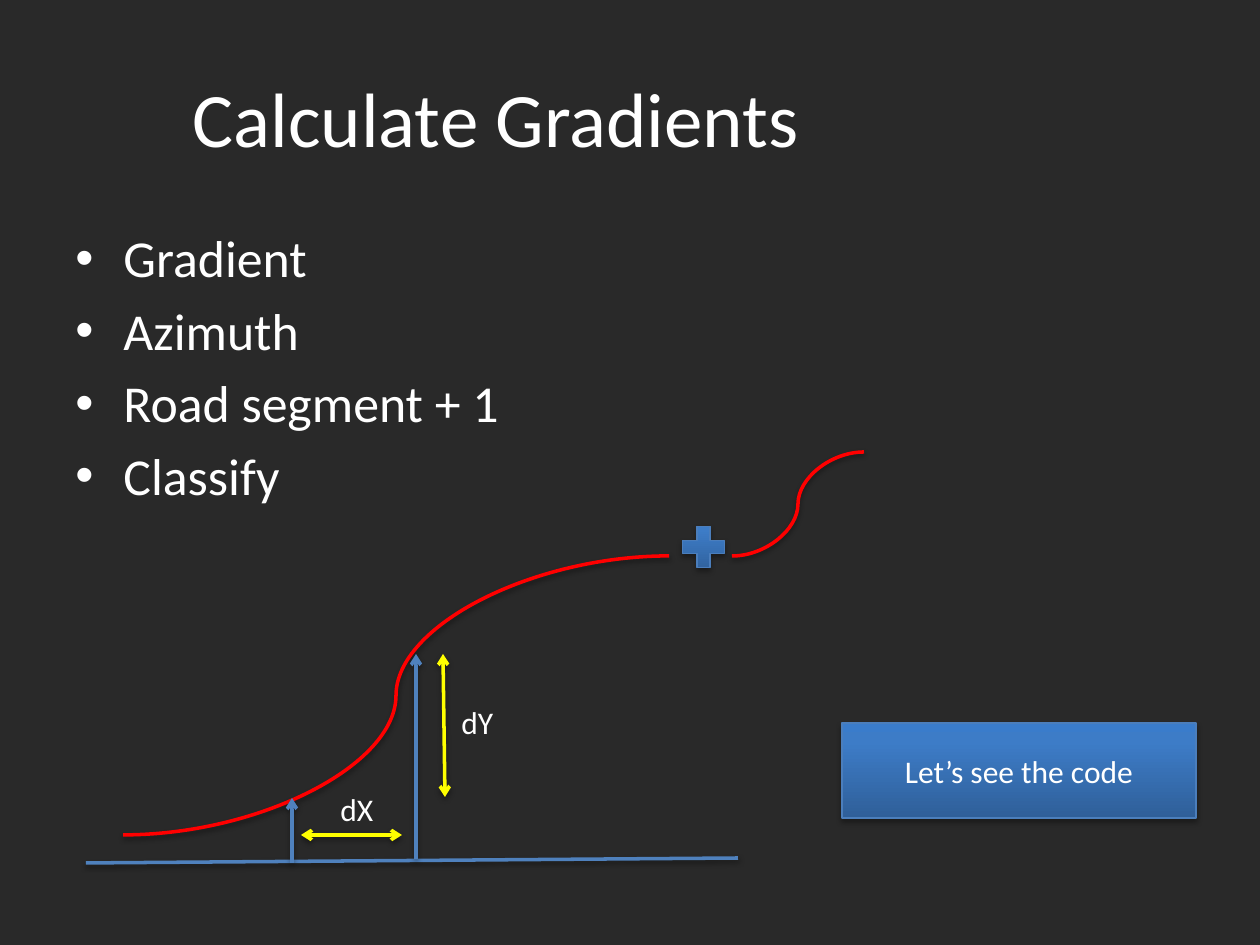
from copy import deepcopy
from pptx import Presentation
from pptx.dml.color import RGBColor
from pptx.enum.shapes import MSO_CONNECTOR as Link, MSO_SHAPE as Preset
from pptx.enum.text import MSO_ANCHOR as Anchor, PP_ALIGN as Align
from pptx.oxml.ns import qn
from pptx.util import Emu, Pt
from lxml.etree import SubElement

BACKGROUND = RGBColor(0x29, 0x29, 0x29)
WHITE = RGBColor(0xFF, 0xFF, 0xFF)
RED = RGBColor(0xFF, 0x00, 0x00)
BLUE = RGBColor(0x4F, 0x81, 0xBD)
YELLOW = RGBColor(0xFF, 0xFF, 0x00)
EDGE = RGBColor(0x4B, 0x7E, 0xBC)
GRADIENT = [
    (0, RGBColor(0x2F, 0x5F, 0x99)),
    (0.8, RGBColor(0x3D, 0x7C, 0xC7)),
    (1, RGBColor(0x3A, 0x7C, 0xCB)),
]
FONT = "Calibri"

TITLE = "Calculate Gradients"
TOPICS = ["Gradient", "Azimuth", "Road segment + 1", "Classify"]
BUTTON = "Let’s see the code"
LABELS = [("dX", (328, 784, 59, 50)), ("dY", (449, 697, 58, 50))]

TAIL = ["tailEnd"]
BOTH = ["headEnd", "tailEnd"]
LINES = [
    (Link.CURVE, (123, 835), (669, 556), RED, []),
    (Link.STRAIGHT, (86, 863), (738, 858), BLUE, []),
    (Link.STRAIGHT, (292, 863), (292, 798), BLUE, TAIL),
    (Link.STRAIGHT, (416, 859), (416, 654), BLUE, TAIL),
    (Link.STRAIGHT, (301, 835), (402, 835), YELLOW, BOTH),
    (Link.STRAIGHT, (445, 797), (443, 654), YELLOW, BOTH),
    (Link.CURVE, (732, 556), (864, 452), RED, []),
]


def px(*values):
    return [Emu(round(value * 914400 / 126)) for value in values]


def add_shadow(item, opacity, distance):
    effects = SubElement(item._element.spPr, qn("a:effectLst"))
    shadow = SubElement(effects, qn("a:outerShdw"), blurRad=str(Pt(3.1)),
                        dist=str(Pt(distance)), dir="5400000", rotWithShape="0")
    color = SubElement(shadow, qn("a:srgbClr"), val="000000")
    SubElement(color, qn("a:alpha"), val=str(opacity * 1000))


def write(frame, lines, size, align=Align.LEFT):
    for index, line in enumerate(lines):
        para = frame.add_paragraph() if index else frame.paragraphs[0]
        para.text = line
        para.alignment = align
        para.font.size = Pt(size)
        para.font.name = FONT
        para.font.color.rgb = WHITE


def add_text(page, bounds, lines, size, align=Align.LEFT, wrap=True):
    frame = page.shapes.add_textbox(*px(*bounds)).text_frame
    frame.word_wrap = wrap
    write(frame, lines, size, align)
    return frame


def add_bullets(frame, size):
    indent = px(48)[0]
    for para in frame.paragraphs:
        para.space_before = Pt(size * 0.2)
        properties = para._p.get_or_add_pPr()
        properties.set("marL", str(indent))
        properties.set("indent", str(-indent))
        SubElement(properties, qn("a:buFont"), typeface="Arial")
        SubElement(properties, qn("a:buChar"), char="•")


def add_block(page, preset, bounds):
    block = page.shapes.add_shape(preset, *px(*bounds))
    block.fill.gradient()
    block.fill.gradient_angle = 90
    stops = next(block._element.spPr.iter(qn("a:gsLst")))
    stops.append(deepcopy(stops[-1]))
    for stop, (position, color) in zip(block.fill.gradient_stops, GRADIENT):
        stop.position = position
        stop.color.rgb = color
    block.line.color.rgb = EDGE
    block.line.width = Pt(0.75)
    add_shadow(block, 35, 1.8)
    return block


def add_line(page, kind, start, end, color, arrows):
    connector = page.shapes.add_connector(kind, *px(*start, *end))
    connector.line.color.rgb = color
    connector.line.width = Pt(2)
    for arrow in arrows:
        SubElement(connector.line._get_or_add_ln(), qn(f"a:{arrow}"), type="arrow")
    add_shadow(connector, 38, 1.6)


def main():
    deck = Presentation()
    deck.slide_width, deck.slide_height = px(1260, 945)
    page = deck.slides.add_slide(deck.slide_layouts[6])
    page.background.fill.solid()
    page.background.fill.fore_color.rgb = BACKGROUND

    title = add_text(page, (63, 38, 866, 157), [TITLE], 44, Align.CENTER)
    title.vertical_anchor = Anchor.MIDDLE
    add_bullets(add_text(page, (63, 220, 624, 266), TOPICS, 29.6), 29.6)

    button = add_block(page, Preset.ACTION_BUTTON_CUSTOM, (842, 723, 354, 95))
    button.text_frame.vertical_anchor = Anchor.MIDDLE
    write(button.text_frame, [BUTTON], 18, Align.CENTER)

    for line in LINES:
        add_line(page, *line)
    for label, bounds in LABELS:
        add_text(page, bounds, [label], 18, wrap=False)
    add_block(page, Preset.MATH_PLUS, (675, 519, 57, 56))

    deck.save("out.pptx")


if __name__ == "__main__":
    main()
